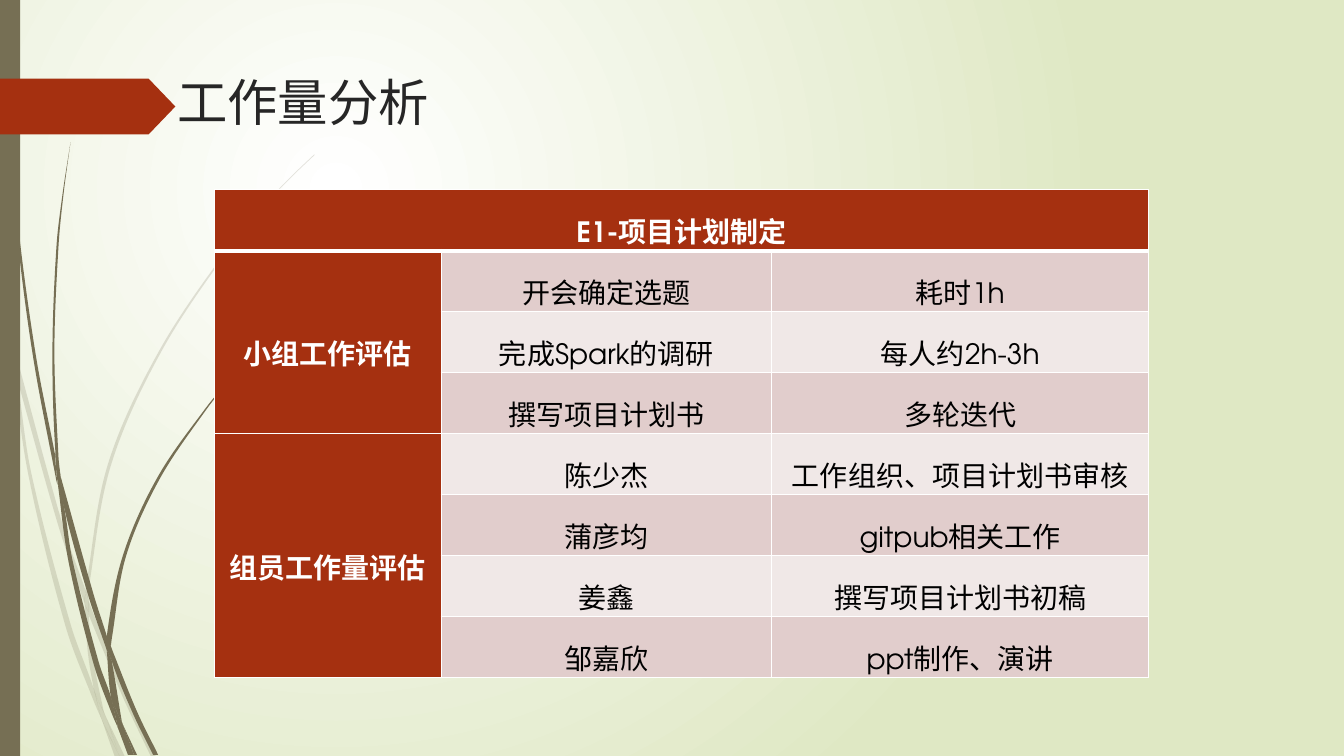
import math

import pptx
import pptx.util
import pptx.dml.color
import pptx.enum.shapes
import pptx.enum.text
import pptx.oxml.ns

Cm = pptx.util.Cm
Pt = pptx.util.Pt
qn = pptx.oxml.ns.qn

FONT = "TeX Gyre Adventor"
COLOURS = {
    "white": "FFFFFF", "black": "000000", "title": "262626", "glow": "DFE8C4",
    "stem": "766F54", "rust": "A53010", "dark band": "E1CDCC", "light band": "F0E8E7",
}

# Each piece of grass has two edges, from top to bottom; knots are in units of GRID cm.
GRID = 2.54
PALE_GRASS = [
    ([(0, 2.82), (.09, 3.22), (.11, 3.5)], [(0, 2.99), (.1, 3.44), (.11, 3.5)]),
    ([(.14, 3.45), (.62, 5.2), (.85, 5.86)], [(.17, 3.76), (.58, 5.22), (.84, 5.99)]),
    ([(.88, 5.96), (.92, 6.07), (1.27, 6.92), (1.55, 7.51)],
     [(.88, 6.1), (1.23, 6.94), (1.5, 7.51)]),
    ([(1.05, 7.11), (1.24, 7.51)], [(1.05, 7.11), (1.19, 7.51)]),
    ([(.11, 3.5), (.17, 3.76), (.31, 4.69), (.7, 6.19), (.93, 6.83), (.99, 7.07), (1.01, 7.14)],
     [(.11, 3.5), (.28, 4.7), (.65, 6.21), (.92, 6.93), (1.01, 7.14)]),
    ([(.84, 5.99), (.87, 6.46), (.93, 6.83), (.96, 6.92), (1.05, 7.11)],
     [(.84, 5.99), (.88, 6.08), (.88, 6.1), (.91, 6.46), (1.03, 7.06), (1.05, 7.11)]),
    ([(3.12, 1.53), (2.89, 1.75), (2.68, 1.97), (2.28, 2.44), (1.58, 3.48), (1.07, 4.61),
      (.85, 5.84), (.85, 5.86), (.88, 5.96)],
     [(3.12, 1.54), (2.9, 1.75), (2.68, 1.98), (2.29, 2.45), (1.6, 3.49), (1.1, 4.62),
      (.88, 5.84), (.88, 5.96)]),
    ([(1.01, 7.14), (1.14, 7.51)], [(1.01, 7.14), (1.19, 7.51)]),
    ([(.85, 5.86), (.84, 5.99), (.88, 6.08), (.88, 6.1)], [(.85, 5.86), (.88, 5.96), (.88, 6.1)]),
    ([(.93, 6.83), (.99, 7.07), (1.01, 7.14), (1.19, 7.51)],
     [(.93, 6.83), (.96, 6.92), (1.05, 7.11), (1.19, 7.51)]),
]
DEEP_GRASS = [
    ([(.03, 0), (.04, .48), (.07, 1.1), (.17, 2.33), (.33, 3.55), (.56, 4.77), (.57, 4.81)],
     [(.04, 0), (.05, .48), (.08, 1.09), (.19, 2.32), (.36, 3.55), (.55, 4.53), (.55, 4.57),
      (.57, 4.81)]),
    ([(.6, 4.72), (.93, 5.9), (1.06, 6.31), (1.06, 6.33), (1.06, 6.45)],
     [(.6, 4.72), (.64, 5.05), (.88, 5.92), (1.06, 6.45)]),
    ([(1.1, 6.41), (1.13, 6.49), (1.36, 7.06), (1.57, 7.49)],
     [(1.1, 6.41), (1.11, 6.56), (1.32, 7.08), (1.52, 7.49)]),
    ([(.57, 4.77), (.64, 5.05), (.72, 5.56), (.98, 6.57), (1.1, 6.91), (1.16, 7.17), (1.17, 7.22)],
     [(.57, 4.77), (.68, 5.57), (.93, 6.59), (1.11, 7.08), (1.17, 7.22)]),
    ([(.7, 1.41), (.62, 1.93), (.56, 2.45), (.52, 3.49), (.55, 4.49), (.6, 4.72)],
     [(.7, 1.41), (.63, 1.93), (.58, 2.45), (.54, 3.49), (.58, 4.53), (.6, 4.72)]),
    ([(1.22, 7.19), (1.33, 7.49)], [(1.22, 7.19), (1.36, 7.49)]),
    ([(.55, 4.49), (.55, 4.53), (.57, 4.77), (.64, 5.05)], [(.55, 4.49), (.6, 4.72), (.64, 5.05)]),
    ([(2.6, 3.44), (2.45, 3.58), (2.31, 3.73), (2.04, 4.05), (1.56, 4.74), (1.22, 5.51),
      (1.06, 6.31), (1.1, 6.41)],
     [(2.61, 3.44), (2.45, 3.59), (2.31, 3.74), (2.05, 4.06), (1.58, 4.76), (1.25, 5.52),
      (1.11, 6.33), (1.1, 6.41)]),
    ([(1.17, 7.22), (1.27, 7.49)], [(1.17, 7.22), (1.31, 7.49)]),
    ([(1.06, 6.45), (1.1, 6.91), (1.16, 7.06), (1.22, 7.19)],
     [(1.06, 6.45), (1.09, 6.51), (1.11, 6.56), (1.21, 7.16), (1.22, 7.19)]),
    ([(1.06, 6.31), (1.06, 6.33), (1.06, 6.45)], [(1.06, 6.31), (1.1, 6.41), (1.11, 6.56)]),
    ([(1.1, 6.91), (1.16, 7.17), (1.17, 7.22), (1.3, 7.49)],
     [(1.1, 6.91), (1.16, 7.06), (1.22, 7.19), (1.33, 7.49)]),
]

HEADING = "E1-项目计划制定"
WORKLOAD = {
    "小组工作评估": [("开会确定选题", "耗时1h"), ("完成Spark的调研", "每人约2h-3h"),
               ("撰写项目计划书", "多轮迭代")],
    "组员工作量评估": [("陈少杰", "工作组织、项目计划书审核"), ("蒲彦均", "gitpub相关工作"),
                ("姜鑫", "撰写项目计划书初稿"), ("邹嘉欣", "ppt制作、演讲")],
}


def colour(name):
    return pptx.dml.color.RGBColor.from_string(COLOURS[name])


def apply_format(target, values):
    for name, value in values.items():
        setattr(target, name, value)


def add_child(parent, tag, **attributes):
    child = parent.makeelement(qn(tag), {key: str(value) for key, value in attributes.items()})
    parent.append(child)
    return child


def paint(shape, name):
    shape.shadow.inherit = False
    shape.fill.solid()
    shape.fill.fore_color.rgb = colour(name)
    shape.line.fill.background()


def bezier_segments(knots):
    """Return two handles and an end for each step of a smooth curve through the knots."""
    padded = [knots[0], *knots, knots[-1]]
    slopes = []
    for before, knot, after in zip(padded, knots, padded[2:]):
        length = math.dist(before, knot) + math.dist(knot, after)
        slopes.append([(b - a) / length for a, b in zip(before, after)])
    segments = []
    for start, end, leaving, arriving in zip(knots, knots[1:], slopes, slopes[1:]):
        third = math.dist(start, end) / 3
        segments.append(([p + third * s for p, s in zip(start, leaving)],
                         [p - third * s for p, s in zip(end, arriving)], end))
    return segments


def add_grass(page, edges, opacity):
    down, up = ([(Cm(x * GRID), Cm(y * GRID)) for x, y in edge] for edge in edges)
    up.reverse()
    builder = page.shapes.build_freeform(*down[0])
    builder.add_line_segments(down[1:] + up, close=True)
    grass = builder.convert_to_shape()
    paint(grass, "stem")
    lines = grass.element.findall(".//" + qn("a:lnTo"))
    curved = lines[:len(down) - 1] + lines[len(down):]
    for line, points in zip(curved, bezier_segments(down) + bezier_segments(up)):
        curve = line.makeelement(qn("a:cubicBezTo"), {})
        for x, y in points:
            add_child(curve, "a:pt", x=round(x - grass.left), y=round(y - grass.top))
        line.getparent().replace(line, curve)
    if opacity < 100:
        add_child(grass.element.spPr.find(".//" + qn("a:srgbClr")), "a:alpha", val=opacity * 1000)


def set_background(page):
    fill = page.background.fill
    fill.gradient()
    for stop, position, name in zip(fill.gradient_stops, (0, 1), ("white", "glow")):
        stop.position = position
        stop.color.rgb = colour(name)
    linear = page.element.find(".//" + qn("a:lin"))
    radial = linear.makeelement(qn("a:path"), {"path": "circle"})
    add_child(radial, "a:fillToRect", l=50000, t=50000, r=100000, b=100000)
    linear.getparent().replace(linear, radial)


def add_side_decoration(page, height):
    for pieces, opacity in ((PALE_GRASS, 20), (DEEP_GRASS, 100)):
        for edges in pieces:
            add_grass(page, edges, opacity)
    kinds = pptx.enum.shapes.MSO_SHAPE
    paint(page.shapes.add_shape(kinds.RECTANGLE, 0, 0, Cm(0.51), height), "stem")
    arrow = page.shapes.add_shape(kinds.PENTAGON, 0, Cm(1.98), Cm(4.42), Cm(1.41))
    arrow.adjustments[0] = 0.48
    paint(arrow, "rust")


def write(frame, text, alignment, name, **font):
    para = frame.paragraphs[0]
    para.alignment = alignment
    span = para.add_run()
    span.text = text
    apply_format(span.font, {"name": FONT, **font})
    span.font.color.rgb = colour(name)
    return para


def add_title(page, left, top, width, height, text):
    title = page.shapes.title
    apply_format(title, dict(left=left, top=top, width=width, height=height))
    apply_format(title.text_frame, dict(
        vertical_anchor=pptx.enum.text.MSO_ANCHOR.TOP, word_wrap=True,
        auto_size=pptx.enum.text.MSO_AUTO_SIZE.NONE))
    write(title.text_frame, text, pptx.enum.text.PP_ALIGN.LEFT, "title", size=Pt(36))


def set_borders(cell, bottom):
    properties = cell._tc.get_or_add_tcPr()
    for side, width in zip("LRTB", (1, 1, 1, bottom)):
        solid = add_child(add_child(properties, "a:ln" + side, w=Pt(width)), "a:solidFill")
        add_child(solid, "a:srgbClr", val=COLOURS["white"])


def fill_cell(cell, text, band, ink, bold):
    apply_format(cell, dict(
        margin_left=Cm(0.19), margin_right=Cm(0.19), margin_top=0, margin_bottom=0,
        vertical_anchor=pptx.enum.text.MSO_ANCHOR.MIDDLE))
    cell.fill.solid()
    cell.fill.fore_color.rgb = colour(band)
    write(cell.text_frame, text, pptx.enum.text.PP_ALIGN.CENTER, ink,
          size=Pt(20), bold=bold).line_spacing = 1.5


def add_workload_table(page, left, top, column_widths, row_height):
    row_count = 1 + sum(len(tasks) for tasks in WORKLOAD.values())
    table = page.shapes.add_table(row_count, len(column_widths), left, top,
                                  sum(column_widths), row_height * row_count).table
    for column, width in zip(table.columns, column_widths):
        column.width = width
    for index, row in enumerate(table.rows):
        row.height = row_height
        for cell in row.cells:
            set_borders(cell, bottom=1 if index else 3)
    table.cell(0, 0).merge(table.cell(0, len(column_widths) - 1))
    fill_cell(table.cell(0, 0), HEADING, "rust", "white", True)
    row = 1
    for group, tasks in WORKLOAD.items():
        table.cell(row, 0).merge(table.cell(row + len(tasks) - 1, 0))
        fill_cell(table.cell(row, 0), group, "rust", "white", True)
        for row, task in enumerate(tasks, row):
            for column, text in enumerate(task, 1):
                band = "dark band" if row % 2 else "light band"
                fill_cell(table.cell(row, column), text, band, "black", False)
        row += 1


deck = pptx.Presentation()
deck.slide_width, deck.slide_height = Cm(33.87), Cm(19.05)
page = deck.slides.add_slide(deck.slide_layouts.get_by_name("Title Only"))
set_background(page)
add_side_decoration(page, deck.slide_height)
add_title(page, Cm(4.21), Cm(1.66), Cm(24.77), Cm(3.56), "工作量分析")
add_workload_table(page, Cm(5.4), Cm(4.78), [Cm(5.72), Cm(8.33), Cm(9.5)], Cm(1.47))
deck.save("out.pptx")
